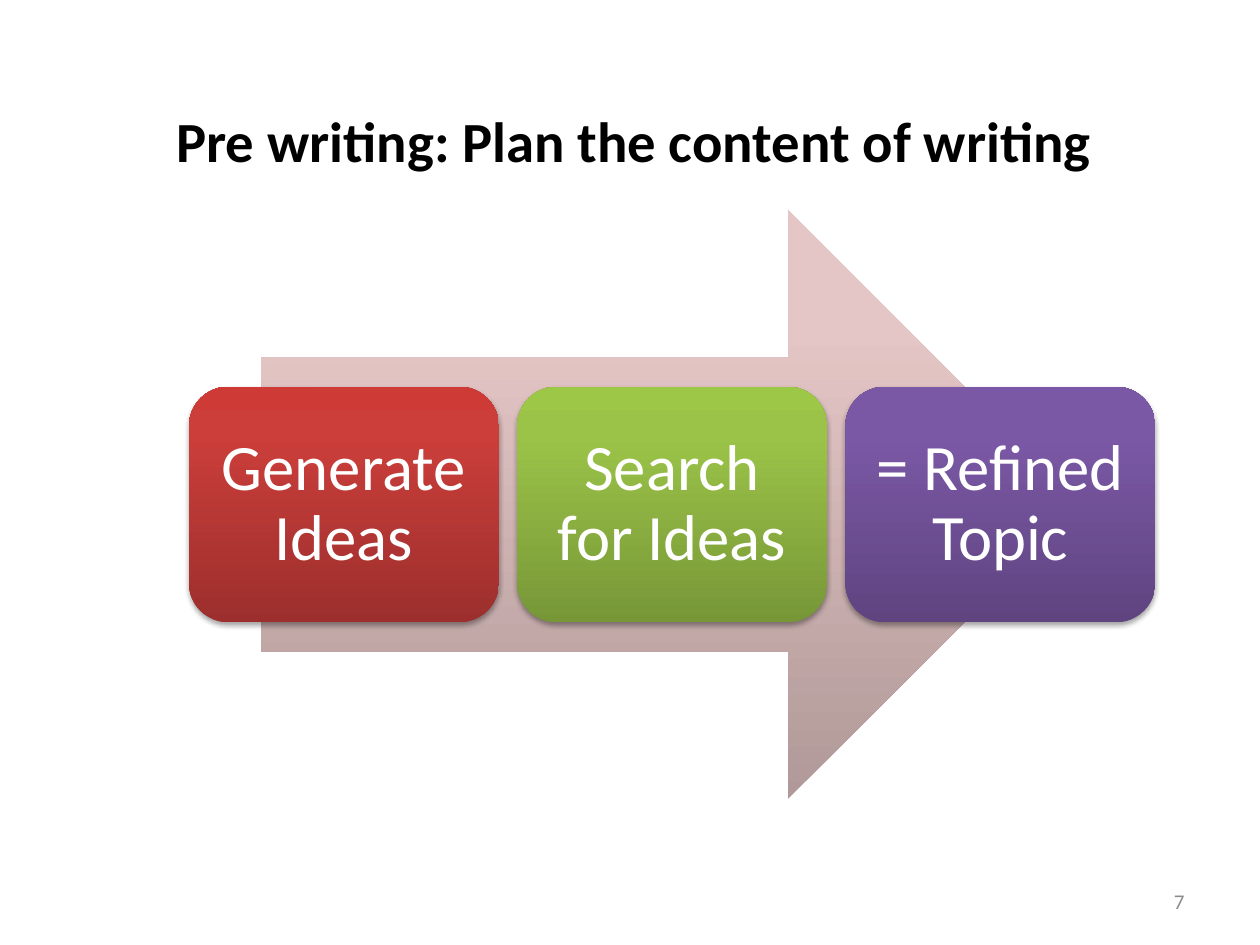
from copy import deepcopy
from dataclasses import dataclass
from typing import Any

from lxml.etree import SubElement
from pptx import Presentation
from pptx.dml.color import RGBColor
from pptx.enum.shapes import MSO_SHAPE
from pptx.enum.text import MSO_ANCHOR, PP_ALIGN
from pptx.oxml.ns import qn
from pptx.util import Inches, Pt


@dataclass(frozen=True)
class Theme:
    """Hold the font, colours and type sizes."""
    font: str = "Calibri"
    ink: str = "000000"
    light: str = "FFFFFF"
    grey: str = "8C8C8C"
    head: float = 32.4
    step: float = 37
    small: float = 12
    stops: tuple[float, ...] = (0, 0.8, 1)
    arrow: tuple[str, ...] = ("B09998", "E5C6C6", "E6C7C6")
    red: tuple[str, ...] = ("9C2F2D", "CB3E3A", "CE3B37")
    green: tuple[str, ...] = ("779737", "9BC348", "9DC746")
    violet: tuple[str, ...] = ("5F4480", "7B58A6", "7C57A8")


@dataclass(frozen=True)
class Box:
    """Give a place in inches."""
    left: float
    top: float
    width: float
    height: float

    def place(self) -> tuple[int, ...]:
        """Return the four lengths as Inches."""
        return tuple(map(Inches, (self.left, self.top, self.width, self.height)))


@dataclass(frozen=True)
class Step:
    """Describe one step of the process."""
    text: str
    tint: tuple[str, ...]


THEME = Theme()
STEPS = (
    Step("Generate Ideas", THEME.red),
    Step("Search for Ideas", THEME.green),
    Step("= Refined Topic", THEME.violet),
)
FIRST = Box(1.5, 3.07, 2.46, 1.87)
PITCH = 2.605


def apply(target: Any, values: dict[str, Any]) -> None:
    """Set each named value on the target."""
    for name, value in values.items():
        setattr(target, name, value)


def write(shape: Any, text: str, size: float, tint: str, frame: dict[str, Any],
          para: dict[str, Any], bold: bool = False) -> None:
    """Fill a shape with one formatted paragraph."""
    body = shape.text_frame
    body.text = text
    apply(body, {"word_wrap": True, "vertical_anchor": MSO_ANCHOR.MIDDLE} | frame)
    line = body.paragraphs[0]
    apply(line, {"alignment": PP_ALIGN.CENTER} | para)
    font = line.runs[0].font
    apply(font, {"name": THEME.font, "size": Pt(size), "bold": bold})
    font.color.rgb = RGBColor.from_string(tint)


def draw(shapes: Any, kind: MSO_SHAPE, box: Box, tint: tuple[str, ...]) -> Any:
    """Add a preset shape with an upward gradient."""
    shape = shapes.add_shape(kind, *box.place())
    shape.shadow.inherit = False
    shape.line.fill.background()
    shape.fill.gradient()
    shape.fill.gradient_angle = 90
    stops = shape._element.spPr.find(qn("a:gradFill")).find(qn("a:gsLst"))
    stops.append(deepcopy(stops[-1]))
    for stop, spot, shade in zip(shape.fill.gradient_stops, THEME.stops, tint):
        stop.position = spot
        stop.color.rgb = RGBColor.from_string(shade)
    return shape


def shade(shape: Any) -> None:
    """Drop a soft shadow below the shape."""
    group = shape._element.spPr.find(qn("a:effectLst"))
    cast = SubElement(group, qn("a:outerShdw"), blurRad=str(Pt(3.1)),
                      dist=str(Pt(1.8)), dir="5400000", rotWithShape="0")
    tint = SubElement(cast, qn("a:srgbClr"), val=THEME.ink)
    SubElement(tint, qn("a:alpha"), val="35000")


def card(shapes: Any, rank: int, step: Step) -> None:
    """Draw one step at its rank in the row."""
    box = Box(FIRST.left + rank * PITCH, FIRST.top, FIRST.width, FIRST.height)
    shape = draw(shapes, MSO_SHAPE.ROUNDED_RECTANGLE, box, step.tint)
    shade(shape)
    sides = ("left", "right", "top", "bottom")
    inset = {f"margin_{side}": Inches(0.15) for side in sides}
    write(shape, step.text, THEME.step, THEME.light, inset, {"line_spacing": 0.9})


def main() -> None:
    """Build and save the slide."""
    deck = Presentation()
    apply(deck, {"slide_width": Inches(10), "slide_height": Inches(7.5)})
    slide = deck.slides.add_slide(deck.slide_layouts[5])
    title = slide.shapes.title
    spot = Box(0.56, 0.73, 8.94, 1.27).place()
    apply(title, dict(zip(("left", "top", "width", "height"), spot)))
    write(title, "Pre writing: Plan the content of writing", THEME.head, THEME.ink,
          {"vertical_anchor": MSO_ANCHOR.TOP, "margin_top": Inches(0.11)}, {}, True)
    flow = slide.shapes.add_group_shape().shapes
    draw(flow, MSO_SHAPE.RIGHT_ARROW, Box(2.07, 1.67, 6.52, 4.67), THEME.arrow)
    for rank, step in enumerate(STEPS):
        card(flow, rank, step)
    page = slide.shapes.add_textbox(*Box(7.17, 6.95, 2.33, 0.4).place())
    write(page, "7", THEME.small, THEME.grey, {}, {"alignment": PP_ALIGN.RIGHT})
    deck.save("out.pptx")


if __name__ == "__main__":
    main()
